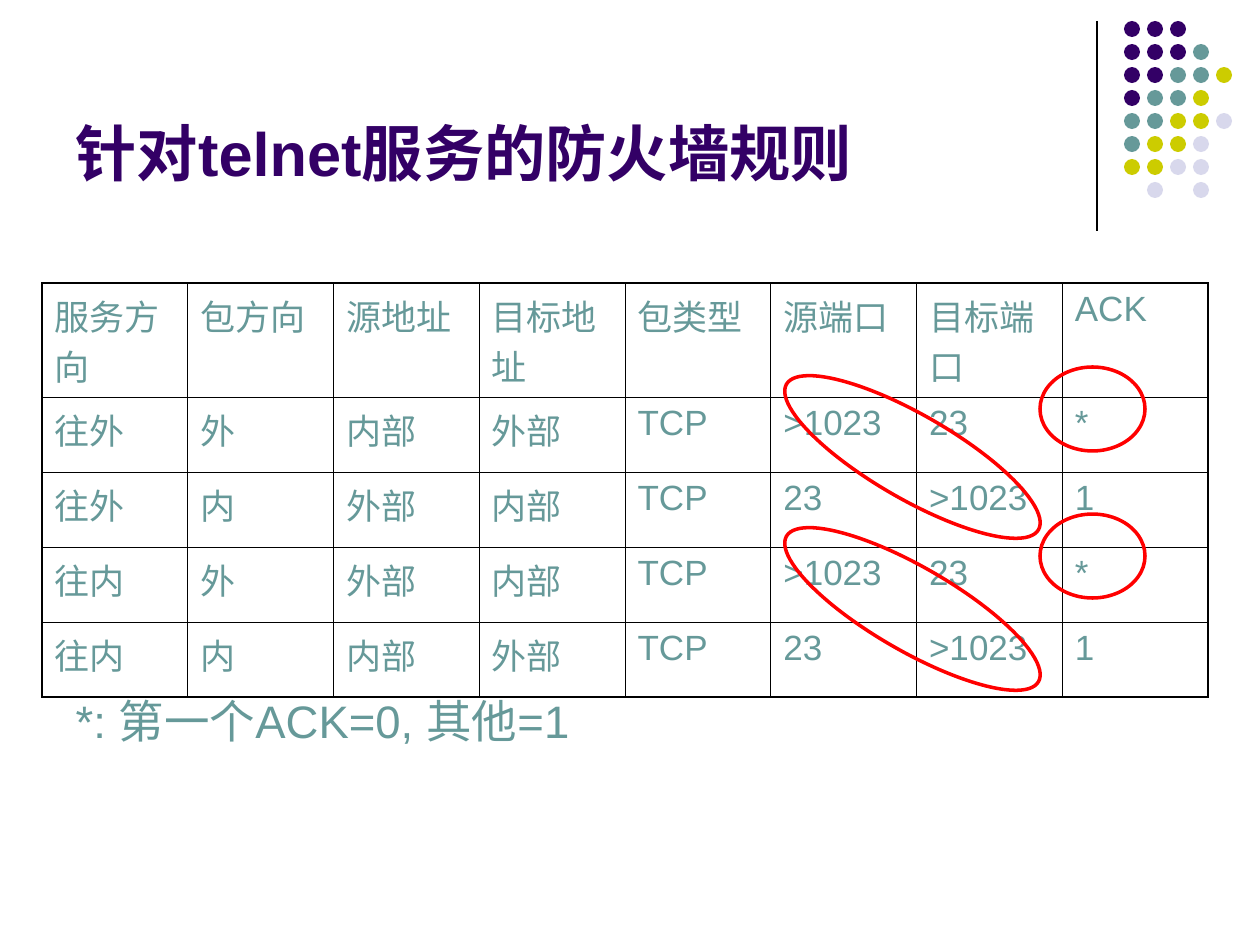
from lxml.etree import SubElement
from pptx import Presentation
from pptx.dml.color import RGBColor
from pptx.enum.shapes import MSO_CONNECTOR, MSO_SHAPE
from pptx.enum.text import MSO_ANCHOR, MSO_AUTO_SIZE, PP_ALIGN
from pptx.oxml.ns import qn
from pptx.util import Pt

SCALE = 914400 / 126
COLORS = {
    "black": "000000", "purple": "330066", "teal": "669999",
    "lime": "CCCC00", "pale": "D8D8EC", "red": "FF0000",
}
DOTS = ["PPP", "PPPT", "PPTTL", "PTTL", "TTLLE", "TLLE", "LLEE", " E E"]
KEYS = {"P": "purple", "T": "teal", "L": "lime", "E": "pale"}
RULES = [
    ["服务方向", "包方向", "源地址", "目标地址", "包类型", "源端口", "目标端口", "ACK"],
    ["往外", "外", "内部", "外部", "TCP", ">1023", "23", "*"],
    ["往外", "内", "外部", "内部", "TCP", "23", ">1023", "1"],
    ["往内", "外", "外部", "内部", "TCP", ">1023", "23", "*"],
    ["往内", "内", "内部", "外部", "TCP", "23", ">1023", "1"],
]


def px(n):
    return round(n * SCALE)


def hue(name):
    return RGBColor.from_string(COLORS[name])


def write(frame, text, size=20, color="teal", bold=False, anchor=MSO_ANCHOR.TOP):
    frame.vertical_anchor = anchor
    para = frame.paragraphs[0]
    para.text = text
    para.alignment = PP_ALIGN.LEFT
    para.space_before = Pt(0)
    font = para.runs[0].font
    font.name, font.size, font.bold = "Arial", Pt(size), bold
    font.color.rgb = hue(color)
    return para


def place(shape, box):
    shape.left, shape.top, shape.width, shape.height = map(px, box)
    frame = shape.text_frame
    frame.word_wrap = True
    frame.auto_size = MSO_AUTO_SIZE.NONE
    return frame


def oval(slide, box, fill=None, line=None, turn=0):
    shape = slide.shapes.add_shape(MSO_SHAPE.OVAL, *map(px, box))
    shape.shadow.inherit = False
    shape.rotation = turn
    if fill:
        shape.fill.solid()
        shape.fill.fore_color.rgb = hue(fill)
    else:
        shape.fill.background()
    if line:
        shape.line.color.rgb = hue(line)
        shape.line.width = Pt(2)
    else:
        shape.line.fill.background()


def corner(slide, box):
    x, y, w, h = box
    rule = slide.shapes.add_connector(
        MSO_CONNECTOR.STRAIGHT, px(x), px(y), px(x), px(y + h))
    rule.line.color.rgb = hue("black")
    rule.line.width = Pt(0.75)
    SubElement(rule.element.spPr, qn("a:effectLst"))
    pitch, size = 23, 16
    left = x + w - 4 * pitch - size
    for r, row in enumerate(DOTS):
        for c, key in enumerate(row):
            if key in KEYS:
                spot = (left + c * pitch, y + r * pitch, size, size)
                oval(slide, spot, fill=KEYS[key])


def title(slide, box):
    frame = place(slide.shapes.title, box)
    write(frame, "针对telnet服务的防火墙规则", size=35, color="purple",
          bold=True, anchor=MSO_ANCHOR.BOTTOM)


def note(slide, box):
    frame = place(slide.placeholders[1], box)
    para = write(frame, "*: 第一个ACK=0, 其他=1", size=26)
    props = para._p.get_or_add_pPr()
    props.set("marL", str(px(48)))
    props.set("indent", str(-px(48)))
    SubElement(props, qn("a:buNone"))


def edge(cell, widths):
    props = cell._tc.get_or_add_tcPr()
    for side, width in widths.items():
        line = SubElement(props, qn(f"a:ln{side}"), w=str(Pt(width)))
        fill = SubElement(line, qn("a:solidFill"))
        SubElement(fill, qn("a:srgbClr"), val=COLORS["black"])


def grid(slide, box):
    rows, cols = len(RULES), len(RULES[0])
    table = slide.shapes.add_table(rows, cols, *map(px, box)).table
    table.first_row = table.horz_banding = False
    for col in table.columns:
        col.width = px(box[2] / cols)
    body = 75
    for r, row in enumerate(table.rows):
        row.height = px(body if r else box[3] - body * (rows - 1))
        for c, cell in enumerate(row.cells):
            write(cell.text_frame, RULES[r][c])
            outer = {"L": c == 0, "R": c == cols - 1,
                     "T": r == 0, "B": r == rows - 1}
            edge(cell, {side: 1.08 if out else 0.45
                        for side, out in outer.items()})
            cell.fill.background()


def marks(slide, box):
    x, y, w, h = box
    for top in (0, 147):
        oval(slide, (x + w - 105, y + top, 105, 84), line="red")
    for top in (48, 200):
        oval(slide, (x, y + top, 291, 84), line="red", turn=30)


def main():
    deck = Presentation()
    deck.slide_width, deck.slide_height = px(1260), px(945)
    slide = deck.slides.add_slide(deck.slide_layouts[1])
    corner(slide, (1097, 21, 135, 210))
    title(slide, (63, 16, 1040, 179))
    note(slide, (63, 687, 1134, 112))
    grid(slide, (42, 283, 1166, 397))
    marks(slide, (767, 367, 378, 284))
    deck.save("out.pptx")


if __name__ == "__main__":
    main()
